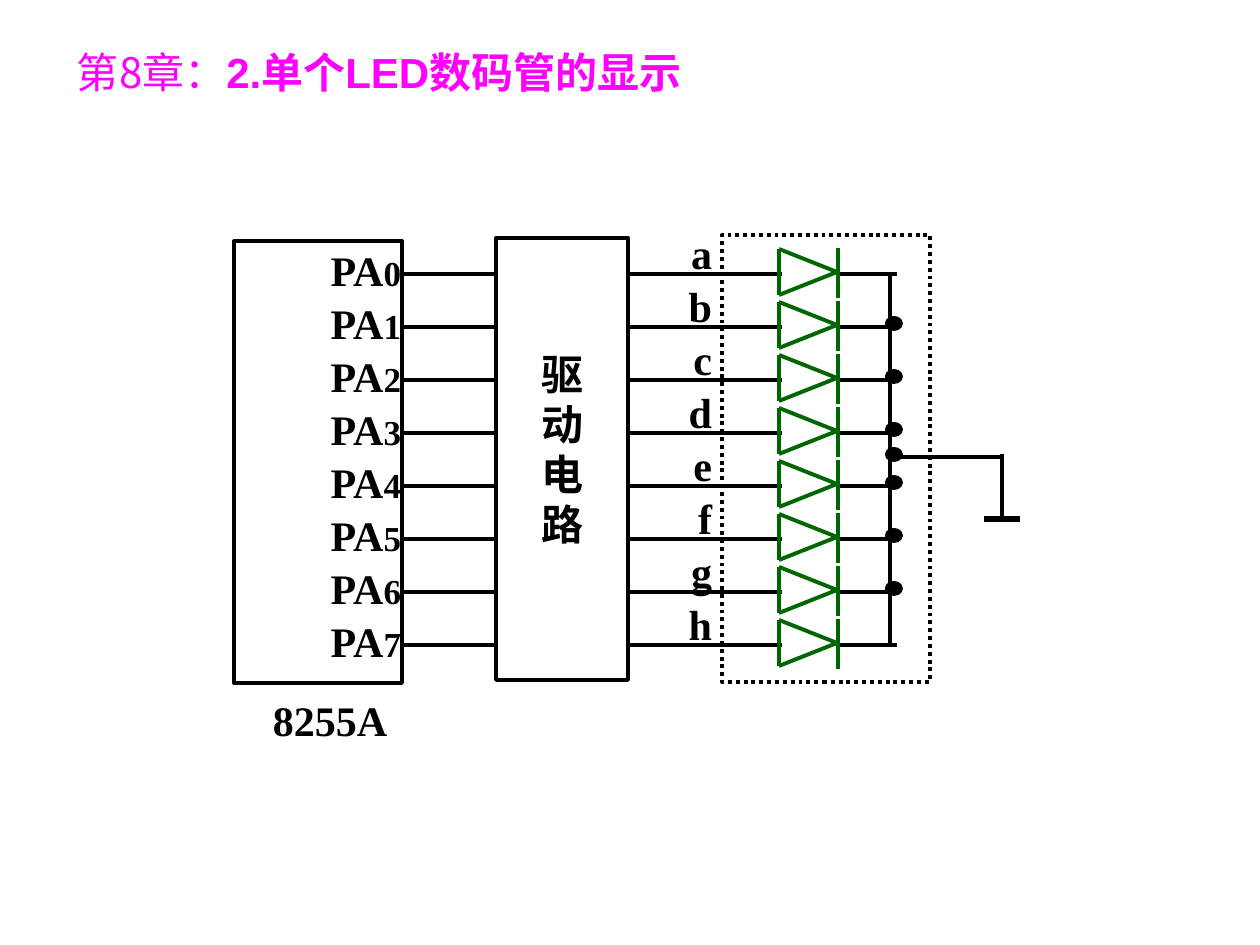
from lxml import etree
from pptx import Presentation
from pptx.dml.color import RGBColor
from pptx.enum.dml import MSO_LINE
from pptx.enum.shapes import MSO_CONNECTOR, MSO_SHAPE
from pptx.enum.text import MSO_ANCHOR, MSO_AUTO_SIZE, PP_ALIGN
from pptx.oxml.ns import qn
from pptx.util import Inches, Pt

PX = 7257  # EMU per px, 126 px to the inch
LEFT, CENTER, RIGHT = PP_ALIGN.LEFT, PP_ALIGN.CENTER, PP_ALIGN.RIGHT
TOP, MIDDLE = MSO_ANCHOR.TOP, MSO_ANCHOR.MIDDLE
RECT, OVAL = MSO_SHAPE.RECTANGLE, MSO_SHAPE.OVAL
STRAIGHT, DOTTED = MSO_CONNECTOR.STRAIGHT, MSO_LINE.ROUND_DOT
SERIF, SANS, CJK = "Times New Roman", "Arial", "Noto Sans CJK JP"
BLACK, GREEN, MAGENTA = "000000", "006600", "FF00FF"
ROWS, PITCH = 8, 53
rgb = RGBColor.from_string


def write(tf, paragraphs, align=CENTER, color=BLACK, spacing=None, anchor=TOP, inset=(1, 1)):
    """Each paragraph is a list of (text, size, font, bold) runs; inset is (side, top)."""
    tf.word_wrap = True
    tf.auto_size = MSO_AUTO_SIZE.NONE
    tf.vertical_anchor = anchor
    tf.margin_left = tf.margin_right = inset[0] * PX
    tf.margin_top, tf.margin_bottom = inset[1] * PX, PX
    for i, runs in enumerate(paragraphs):
        p = tf.paragraphs[0] if i == 0 else tf.add_paragraph()
        p.alignment = align
        if spacing:
            p.line_spacing = Pt(spacing)
        for text, size, font, bold in runs:
            r = p.add_run()
            r.text = text
            r.font.size, r.font.name, r.font.bold = Pt(size), font, bold
            r.font.color.rgb = rgb(color)
            ea = etree.SubElement(r.font._element, qn("a:ea"))
            ea.set("typeface", CJK)


def wire(x1, y1, x2, y2, color=BLACK, width=2.25):
    c = s.shapes.add_connector(STRAIGHT, x1 * PX, y1 * PX, x2 * PX, y2 * PX)
    c.line.color.rgb = rgb(color)
    c.line.width = Pt(width)
    etree.SubElement(c._element.spPr, qn("a:effectLst"))


prs = Presentation()
prs.slide_width, prs.slide_height = Inches(10), Inches(7.5)
s = prs.slides.add_slide(prs.slide_layouts[5])

# Title
title = s.shapes.title
title.left, title.top, title.width, title.height = 64 * PX, 35 * PX, 1134 * PX, 69 * PX
write(title.text_frame,
      [[("第8章：", 24, CJK, False), ("2.单个LED数码管的显示", 24, SANS, True)]],
      align=LEFT, color=MAGENTA, anchor=MIDDLE, inset=(13, 6))

# Port chip, driver and display frames
frames = []
for x, y, w, h in [(234, 241, 168, 442), (496, 238, 132, 442), (722, 235, 208, 447)]:
    sp = s.shapes.add_shape(RECT, x * PX, y * PX, w * PX, h * PX)
    sp.shadow.inherit = False
    sp.fill.background()
    sp.line.color.rgb = rgb(BLACK)
    sp.line.width = Pt(2.25)
    frames.append(sp)
chip, driver, display = frames
display.line.dash_style = DOTTED
write(chip.text_frame,
      [[("PA", 24, SERIF, True), (str(i), 20, SERIF, True)] for i in range(ROWS)],
      align=RIGHT, spacing=30.3)
write(driver.text_frame, [[(ch, 24, SERIF, True)] for ch in "驱动电路"],
      spacing=28.6, inset=(1, 111))

# Chip name and segment letters
name = s.shapes.add_textbox(234 * PX, 694 * PX, 192 * PX, 63 * PX)
write(name.text_frame, [[("8255A", 24, SERIF, True)]])
letters = s.shapes.add_textbox(620 * PX, 224 * PX, 93 * PX, 450 * PX)
write(letters.text_frame, [[(ch, 24, SERIF, True)] for ch in "abcdefgh"],
      align=RIGHT, spacing=30.3)

# One row per segment: wires and diode
for i in range(ROWS):
    y = 274 + i * PITCH
    for x1, x2 in [(403, 497), (629, 782), (839, 897)]:
        wire(x1, y, x2, y)
    for x1, y1, x2, y2 in [(838, -26, 838, 24), (779, -25, 837, -2),
                           (779, 21, 837, -2), (779, -25, 779, 21)]:
        wire(x1, y + y1, x2, y + y2, GREEN)

# Common line with junction dots
wire(890, 274, 890, 645)
for y in [318 + i * PITCH for i in range(ROWS - 2)] + [449]:
    dot = s.shapes.add_shape(OVAL, 887 * PX, y * PX, 14 * PX, 11 * PX)
    dot.shadow.inherit = False
    dot.fill.solid()
    dot.fill.fore_color.rgb = rgb(BLACK)
    dot.line.color.rgb = rgb(BLACK)
    dot.line.width = Pt(2.25)

# Ground
wire(893, 457, 1002, 457)
wire(1002, 454, 1002, 519)
wire(984, 519, 1020, 519, width=3)

prs.save("out.pptx")
